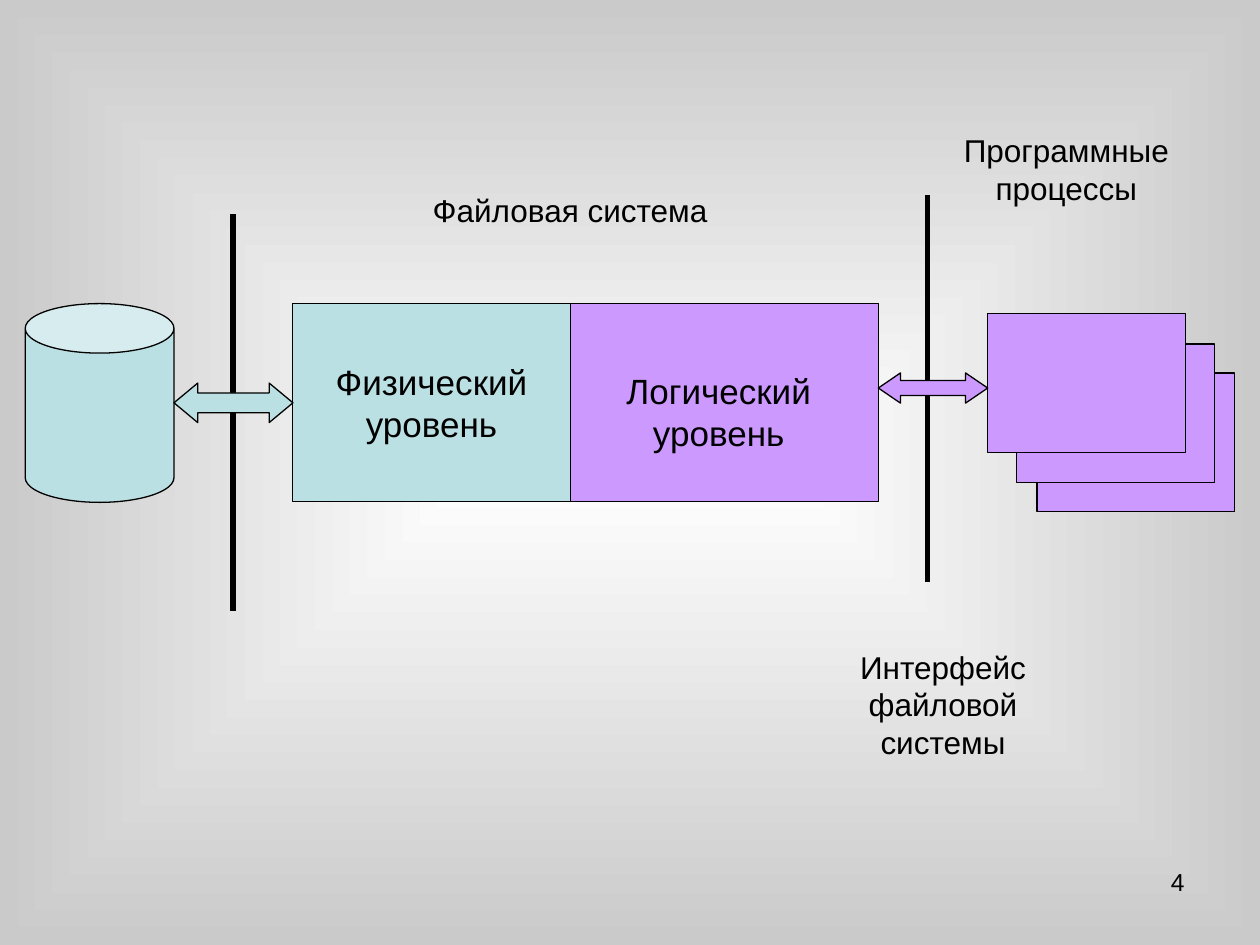
from dataclasses import dataclass

from pptx import Presentation
from pptx.dml.color import RGBColor
from pptx.enum.shapes import MSO_CONNECTOR, MSO_SHAPE
from pptx.enum.text import MSO_AUTO_SIZE, PP_ALIGN
from pptx.oxml.ns import qn
from pptx.oxml.xmlchemy import OxmlElement
from pptx.slide import Slide
from pptx.util import Pt

RECTANGLE = MSO_SHAPE.RECTANGLE
CAN = MSO_SHAPE.CAN
DOUBLE_ARROW = MSO_SHAPE.LEFT_RIGHT_ARROW
STRAIGHT = MSO_CONNECTOR.STRAIGHT
CENTER = PP_ALIGN.CENTER
RIGHT = PP_ALIGN.RIGHT
GROW = MSO_AUTO_SIZE.SHAPE_TO_FIT_TEXT
FIXED = MSO_AUTO_SIZE.NONE

BLACK = RGBColor(0x00, 0x00, 0x00)
WHITE = RGBColor(0xFF, 0xFF, 0xFF)
GRAY = RGBColor(0xCA, 0xCA, 0xCA)
TEAL = RGBColor(0xBB, 0xE0, 0xE3)
PURPLE = RGBColor(0xCC, 0x99, 0xFF)

FONT = "Arial"
LEVEL_TOP, LEVEL_HEIGHT = 173.5, 113.2
PROCESS_WIDTH, PROCESS_HEIGHT = 113, 79.2


@dataclass
class Block:
    kind: int
    left: float
    top: float
    width: float
    height: float
    fill: RGBColor
    adjustments: tuple[float, ...] = ()


@dataclass
class Label:
    text: str
    left: float
    top: float
    width: float
    height: float
    size: float
    alignment: int = CENTER
    auto_size: int = GROW


@dataclass
class Boundary:
    x: float
    top: float
    bottom: float


def process(left: float, top: float) -> Block:
    return Block(RECTANGLE, left, top, PROCESS_WIDTH, PROCESS_HEIGHT, PURPLE)


BOUNDARIES = [Boundary(530, 111.6, 332.4), Boundary(133.2, 122.4, 349.2)]

# Back to front
BLOCKS = [
    process(592.6, 213.1),
    Block(RECTANGLE, 326.2, LEVEL_TOP, 175.7, LEVEL_HEIGHT, PURPLE),
    Block(RECTANGLE, 167, LEVEL_TOP, 159.2, LEVEL_HEIGHT, TEAL),
    Block(CAN, 14.4, LEVEL_TOP, 85, 113.6, TEAL, (0.333,)),
    Block(DOUBLE_ARROW, 99.4, 218.9, 68, 22.6, TEAL, (0.5, 0.602)),
    process(581, 196.6),
    process(564.4, 179.3),
    Block(DOUBLE_ARROW, 501.9, 213.1, 62.5, 17.3, PURPLE, (0.5, 0.734)),
]

LABELS = [
    Label("Физический уровень", 178.6, 202.3, 136, 55.4, 20),
    Label("Логический уровень", 342.7, 207.4, 136, 55.4, 20),
    Label("Файловая система", 172.8, 105.8, 306, 28.8, 18),
    Label("Программные процессы", 541.4, 71.3, 136, 50.4, 18),
    Label("Интерфейс файловой системы", 468, 366.5, 141.8, 72, 18),
    Label("4", 516.2, 491.8, 167.8, 37.4, 14, RIGHT, FIXED),
]


def paint_background(slide: Slide) -> None:
    fill = slide.background.fill
    fill.gradient()
    for stop, color, position in zip(fill.gradient_stops, (WHITE, GRAY), (0, 1)):
        stop.color.rgb = color
        stop.position = position
    # Spread the gradient from the centre instead of along a line
    gradient = slide.element.find(".//" + qn("a:gradFill"))
    gradient.remove(gradient.find(qn("a:lin")))
    spread = OxmlElement("a:path")
    spread.set("path", "shape")
    center = OxmlElement("a:fillToRect")
    for side in "ltrb":
        center.set(side, "50000")
    spread.append(center)
    gradient.append(spread)


def draw_boundary(slide: Slide, boundary: Boundary) -> None:
    x = Pt(boundary.x)
    line = slide.shapes.add_connector(
        STRAIGHT, x, Pt(boundary.top), x, Pt(boundary.bottom)
    )
    line.line.color.rgb = BLACK
    line.line.width = Pt(3)
    line.element.spPr.append(OxmlElement("a:effectLst"))


def draw_block(slide: Slide, block: Block) -> None:
    shape = slide.shapes.add_shape(
        block.kind, Pt(block.left), Pt(block.top), Pt(block.width), Pt(block.height)
    )
    for index, value in enumerate(block.adjustments):
        shape.adjustments[index] = value
    shape.shadow.inherit = False
    shape.fill.solid()
    shape.fill.fore_color.rgb = block.fill
    shape.line.color.rgb = BLACK
    shape.line.width = Pt(0.75)


def draw_label(slide: Slide, label: Label) -> None:
    box = slide.shapes.add_textbox(
        Pt(label.left), Pt(label.top), Pt(label.width), Pt(label.height)
    )
    frame = box.text_frame
    frame.word_wrap = True
    frame.auto_size = label.auto_size
    paragraph = frame.paragraphs[0]
    paragraph.text = label.text
    paragraph.alignment = label.alignment
    paragraph.font.name = FONT
    paragraph.font.size = Pt(label.size)
    paragraph.font.color.rgb = BLACK


def main() -> None:
    presentation = Presentation()
    presentation.slide_width = Pt(720)
    presentation.slide_height = Pt(540)
    slide = presentation.slides.add_slide(presentation.slide_layouts[6])

    paint_background(slide)
    for boundary in BOUNDARIES:
        draw_boundary(slide, boundary)
    for block in BLOCKS:
        draw_block(slide, block)
    for label in LABELS:
        draw_label(slide, label)

    presentation.save("out.pptx")


if __name__ == "__main__":
    main()
